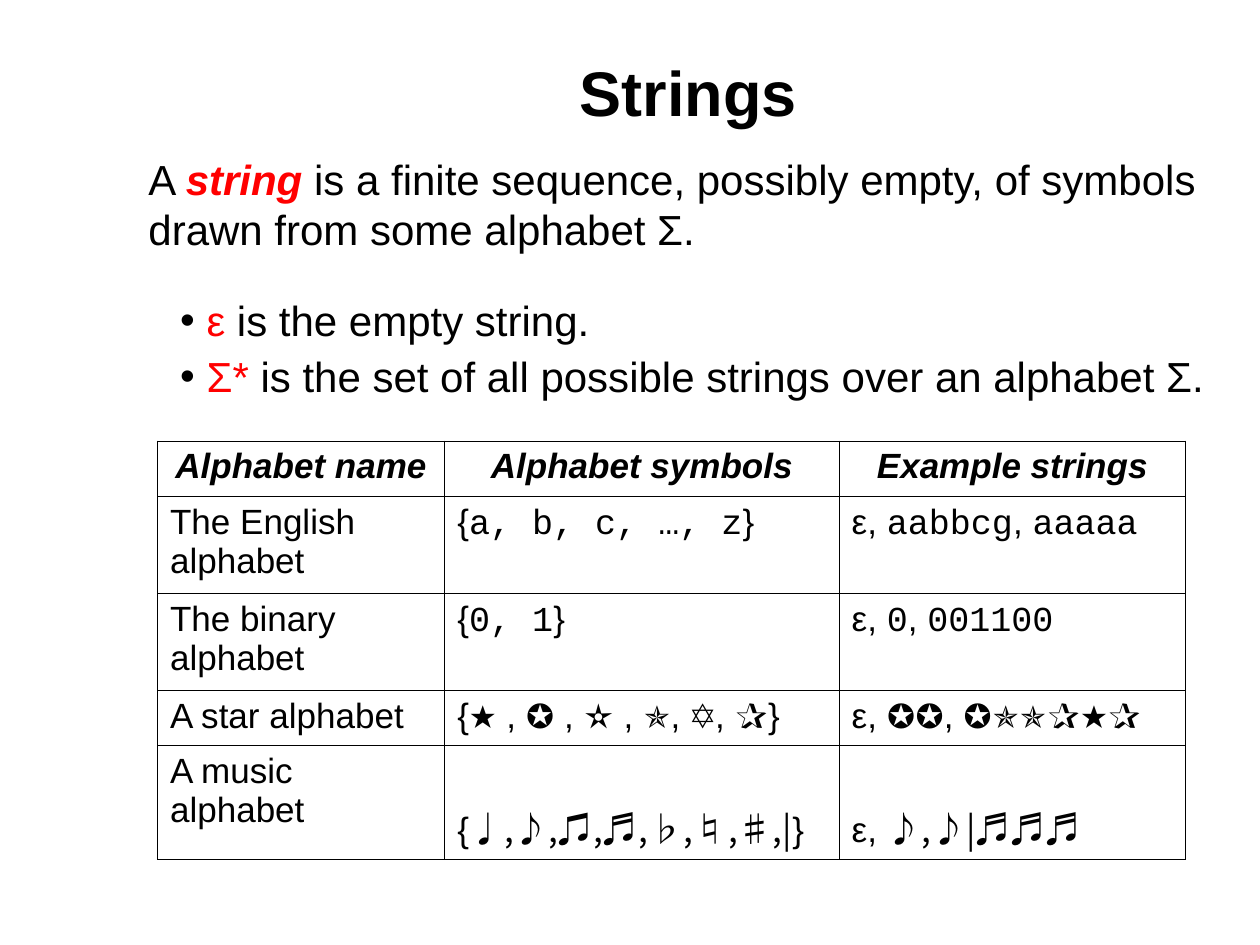
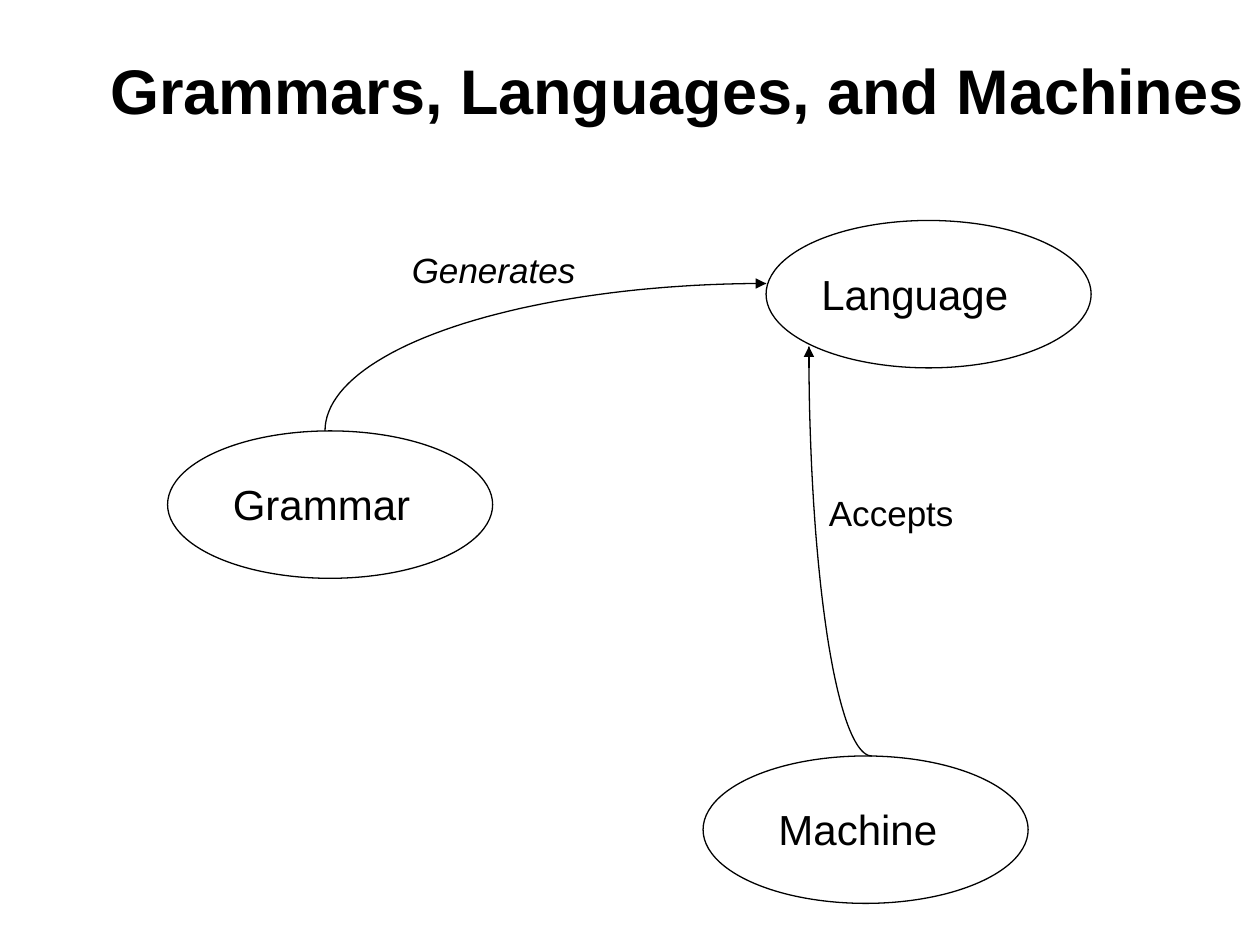
from dataclasses import dataclass
from math import cos, pi, sin

from lxml import etree
from pptx import Presentation
from pptx.dml.color import RGBColor
from pptx.enum import shapes, text
from pptx.oxml.ns import qn
from pptx.util import Inches, Pt

SANS, MONO, MUSIC = "Arial", "Courier New", "Noto Sans CJK JP"
BLACK, RED = "000000", "FF0000"
CENTER = text.PP_ALIGN.CENTER


@dataclass
class Bit:
    """A stretch of text that departs from the font of its paragraph."""
    text: str
    face: str = ""
    color: str = ""
    strong: bool = False
    size: int = 0


@dataclass
class Node:
    name: str
    left: float
    top: float
    inset: float
    width: float


@dataclass
class Arc:
    """A quarter ellipse about (x, y), from angle start to stop, with y down."""
    x: float
    y: float
    rx: float
    ry: float
    start: float
    stop: float
    tail: tuple
    tip: tuple


NODES = [
    Node("Language", 6.08, 1.75, 0.34, 2.75),
    Node("Grammar", 1.33, 3.42, 0.42, 3.17),
    Node("Machine", 5.58, 6, 0.5, 2.5),
]
ARCS = [
    Arc(6.08, 3.42, 3.5, 1.17, pi, 1.5 * pi, (5.92, 2.25), (6.08, 2.25)),
    Arc(6.92, 2.75, 0.5, 3.25, pi / 2, pi, (6.42, 2.92), (6.42, 2.75)),
]


def mono(words: str) -> Bit:
    return Bit(words, MONO)


def notes(words: str) -> Bit:
    return Bit(words, MUSIC)


HEADS = ["Alphabet name", "Alphabet symbols", "Example strings"]
ROWS = [
    (["The English alphabet"], ["{", mono("a, b, c, …, z"), "}"],
     ["ε, ", mono("aabbcg"), ", ", mono("aaaaa")]),
    (["The binary alphabet"], ["{", mono("0, 1"), "}"],
     ["ε, ", mono("0"), ", ", mono("001100")]),
    (["A star alphabet"], ["{★ , ✪ , ✫ , ✯, ✡, ✰}"], ["ε, ✪✪, ✪✯✯✰★✰"]),
    (["A music\valphabet"], ["{", notes("♩,♪,♫,♬,♭,♮,♯,|"), "}"],
     ["ε, ", notes("♪,♪|♬♬♬")]),
]
WIDTHS = [2.28, 3.13, 2.75]
HEIGHTS = [0.44, 0.77, 0.77, 0.44, 0.9]


def rgb(code: str) -> RGBColor:
    return RGBColor.from_string(code)


def box(left: float, top: float, width: float, height: float) -> list:
    return [Inches(n) for n in (left, top, width, height)]


def write(para, bits: list, size: int, bold: bool = False,
          italic: bool = False, align=None) -> None:
    font = para.font
    font.name, font.size, font.bold, font.italic = SANS, Pt(size), bold, italic
    font.color.rgb = rgb(BLACK)
    para.alignment = align
    for bit in bits:
        if isinstance(bit, str):
            bit = Bit(bit)
        for i, line in enumerate(bit.text.split("\v")):
            if i:
                para.add_line_break()
            run = para.add_run()
            run.text = line
            style(run, bit)


def style(run, bit: Bit) -> None:
    if bit.face:
        run.font.name = bit.face
        for tag in ("a:ea", "a:cs"):
            etree.SubElement(run.font._element, qn(tag), typeface=bit.face)
    if bit.color:
        run.font.color.rgb = rgb(bit.color)
    if bit.strong:
        run.font.bold = run.font.italic = True
    if bit.size:
        run.font.size = Pt(bit.size)


def place(shape, area: list) -> None:
    shape.left, shape.top, shape.width, shape.height = area
    shape.text_frame.auto_size = text.MSO_AUTO_SIZE.NONE


def head(slide, bits: list, area: list) -> None:
    title = slide.shapes.title
    place(title, area)
    title.text_frame.vertical_anchor = text.MSO_ANCHOR.MIDDLE
    write(title.text_frame.paragraphs[0], bits, 36, bold=True, align=CENTER)


def label(slide, bits: list, area: list, size: int, italic: bool = False,
          wrap: bool = True) -> None:
    frame = slide.shapes.add_textbox(*area).text_frame
    frame.word_wrap = wrap
    write(frame.paragraphs[0], bits, size, italic=italic)


def points(slide, items: list, area: list) -> None:
    body = slide.placeholders[1]
    place(body, area)
    frame = body.text_frame
    for i, bits in enumerate(items):
        para = frame.add_paragraph() if i else frame.paragraphs[0]
        write(para, bits, 24)
        para.line_spacing, para.space_before = 0.9, Pt(6)
        props = para._p.get_or_add_pPr()
        props.set("marL", str(Inches(0.21)))
        props.set("indent", str(-Inches(0.21)))
        tint = etree.Element(qn("a:buClr"))
        etree.SubElement(tint, qn("a:srgbClr"), val=BLACK)
        mark = etree.Element(qn("a:buChar"), char="•")
        spot = props.find(qn("a:defRPr"))
        spot.addprevious(tint)
        spot.addprevious(mark)


def edge(cell) -> None:
    props = cell._tc.get_or_add_tcPr()
    for side in "LRTB":
        line = etree.SubElement(props, qn(f"a:ln{side}"), w=str(Pt(0.45)))
        fill = etree.SubElement(line, qn("a:solidFill"))
        etree.SubElement(fill, qn("a:srgbClr"), val=BLACK)


def grid(slide) -> None:
    area = box(1.25, 3.5, sum(WIDTHS), sum(HEIGHTS))
    table = slide.shapes.add_table(len(HEIGHTS), len(WIDTHS), *area).table
    table.first_row = table.horz_banding = False
    for col, width in zip(table.columns, WIDTHS):
        col.width = Inches(width)
    for row, height in zip(table.rows, HEIGHTS):
        row.height = Inches(height)
    for r, cells in enumerate([[[name] for name in HEADS], *ROWS]):
        for c, bits in enumerate(cells):
            cell, top = table.cell(r, c), r == 0
            edge(cell)
            cell.fill.background()
            if r == len(ROWS) and c:
                cell.vertical_anchor = text.MSO_ANCHOR.BOTTOM
            write(cell.text_frame.paragraphs[0], bits, 20, bold=top,
                  italic=top, align=CENTER if top else None)


def ink(shape) -> None:
    shape.line.color.rgb = rgb(BLACK)
    shape.line.width = Pt(0.75)


def hollow(shape) -> None:
    shape.shadow.inherit = False
    shape.fill.background()
    ink(shape)


def oval(slide, node: Node) -> None:
    area = box(node.left + node.inset, node.top + 0.33, node.width, 0.5)
    label(slide, [node.name], area, 24)
    hollow(slide.shapes.add_shape(shapes.MSO_SHAPE.OVAL,
                                  *box(node.left, node.top, 2.58, 1.17)))


def bend(slide, arc: Arc, steps: int = 48) -> None:
    """Draw the curve and its arrowhead."""
    turn = (arc.stop - arc.start) / steps
    dots = [(Inches(arc.x + arc.rx * cos(arc.start + i * turn)),
             Inches(arc.y + arc.ry * sin(arc.start + i * turn)))
            for i in range(steps + 1)]
    path = slide.shapes.build_freeform(*dots[0])
    path.add_line_segments(dots[1:], close=False)
    hollow(path.convert_to_shape())

    ends = [Inches(n) for n in (*arc.tail, *arc.tip)]
    tip = slide.shapes.add_connector(shapes.MSO_CONNECTOR.STRAIGHT, *ends)
    ink(tip)
    etree.SubElement(tip.line._get_or_add_ln(), qn("a:tailEnd"),
                     type="triangle")
    etree.SubElement(tip._element.spPr, qn("a:effectLst"))


def strings(deck) -> None:
    slide = deck.slides.add_slide(deck.slide_layouts[1])
    head(slide, ["Strings", Bit(" ", size=40)], box(1.08, 0.08, 8.92, 1.25))
    label(slide, ["A ", Bit("string ", color=RED, strong=True),
                  "is a finite sequence, possibly empty, of symbols "
                  "drawn from some alphabet Σ."],
          box(1.08, 1.17, 8.92, 0.9), 24)
    points(slide, [
        [Bit("ε", color=RED), " is the empty string."],
        [Bit("Σ*", color=RED),
         " is the set of all possible strings over an alphabet Σ."],
    ], box(1.33, 2.33, 8.42, 0.92))
    grid(slide)


def machines(deck) -> None:
    slide = deck.slides.add_slide(deck.slide_layouts[5])
    head(slide, ["Grammars, Languages, and Machines"],
         box(0.75, 0.25, 9.25, 0.92))
    for node in NODES:
        oval(slide, node)
    for arc in ARCS:
        bend(slide, arc)
    label(slide, ["Generates"], box(3.17, 1.92, 1.5, 0.44), 20, italic=True)
    label(slide, ["Accepts"], box(6.48, 3.85, 1.19, 0.44), 20, wrap=False)


def main() -> None:
    deck = Presentation()
    deck.slide_width, deck.slide_height = Inches(10), Inches(7.5)
    strings(deck)
    machines(deck)
    deck.save("out.pptx")


if __name__ == "__main__":
    main()
